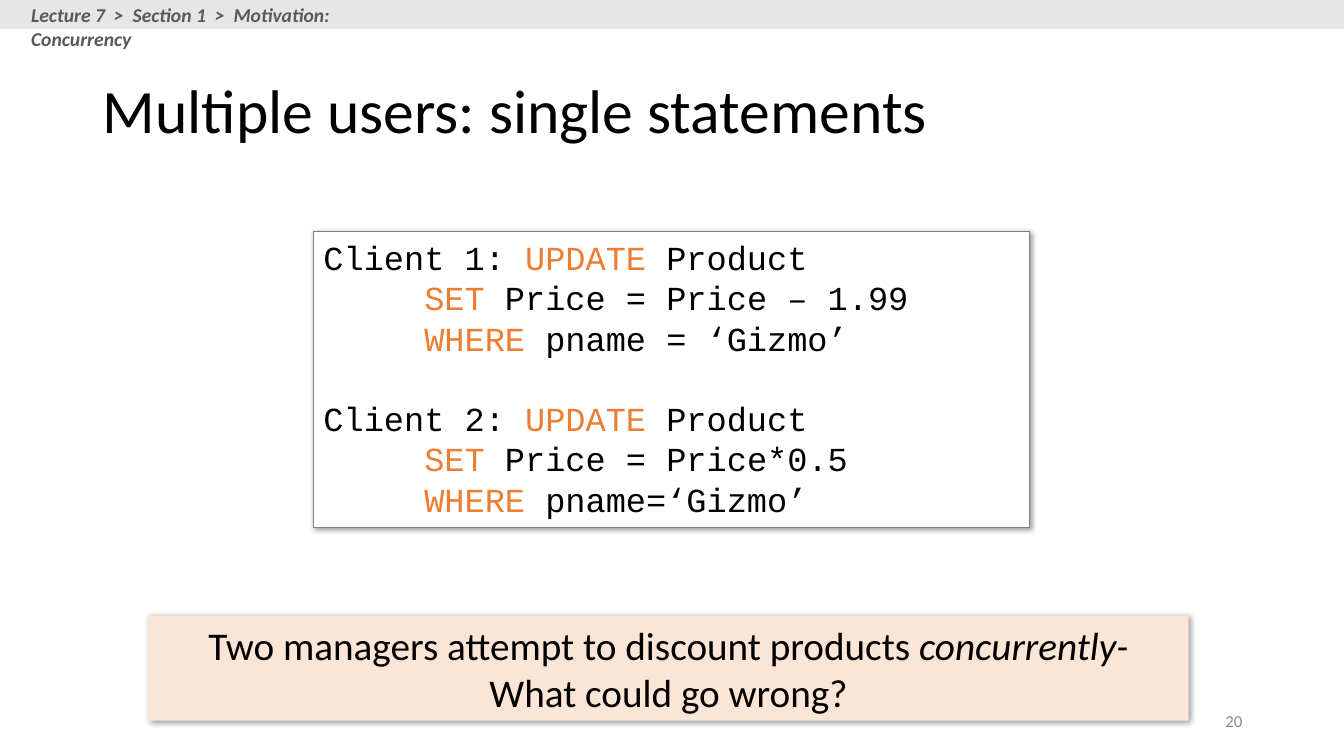
"""Lecture slide on two clients updating the same product concurrently."""
from lxml import etree
from pptx import Presentation
from pptx.dml.color import RGBColor
from pptx.enum.shapes import MSO_SHAPE
from pptx.enum.text import MSO_ANCHOR, PP_ALIGN
from pptx.oxml import parse_xml
from pptx.util import Inches, Pt

RECT = MSO_SHAPE.RECTANGLE
MIDDLE, TOP = MSO_ANCHOR.MIDDLE, MSO_ANCHOR.TOP
LEFT, CENTER, RIGHT = PP_ALIGN.LEFT, PP_ALIGN.CENTER, PP_ALIGN.RIGHT
COLORS = {"black": "000000", "white": "FFFFFF", "keyword": "ED7D31", "outline": "808080",
          "callout": "FBE5D6", "band": "E7E6E6", "crumb": "595959", "number": "8C8C8C"}
SHADOW = """<a:effectLst xmlns:a="http://schemas.openxmlformats.org/drawingml/2006/main">
<a:outerShdw blurRad="50800" dist="12700" dir="2700000" algn="tl" rotWithShape="0">
<a:srgbClr val="000000"><a:alpha val="40000"/></a:srgbClr></a:outerShdw></a:effectLst>"""


def add_panel(box, fill, outline=None, shadowed=False):
    panel = slide.shapes.add_shape(RECT, *map(Inches, box))
    panel.shadow.inherit = False
    panel.fill.solid()
    panel.fill.fore_color.rgb = RGBColor.from_string(COLORS[fill])
    if outline:
        panel.line.color.rgb = RGBColor.from_string(COLORS[outline])
        panel.line.width = Pt(0.75)
    else:
        panel.line.fill.background()
    if shadowed:
        properties = panel.fill._xPr
        properties.remove(properties.find("{*}effectLst"))
        properties.append(parse_xml(etree.tostring(etree.fromstring(SHADOW))))
    return panel


def write(holder, lines, size, font="Calibri", align=LEFT, anchor=TOP, wrap=True):
    frame = holder.text_frame
    frame.word_wrap = wrap
    frame.vertical_anchor = anchor
    for index, line in enumerate(lines):
        paragraph = frame.paragraphs[0] if index == 0 else frame.add_paragraph()
        paragraph.alignment = align
        for text, color, style in line:
            run = paragraph.add_run()
            run.text = text
            run.font.name, run.font.size = font, Pt(size)
            run.font.bold, run.font.italic = "b" in style, "i" in style
            run.font.color.rgb = RGBColor.from_string(COLORS[color])
    return frame.paragraphs


deck = Presentation()
deck.slide_width, deck.slide_height = Inches(13.33), Inches(7.5)
slide = deck.slides.add_slide(deck.slide_layouts[5])

title = slide.shapes.title
title.left, title.top, title.width, title.height = map(Inches, (0.92, 0.4, 11.5, 1.45))
heading = write(title, [[("Multiple users: single statements", "black", "")]], 44, anchor=MIDDLE)
heading[0].line_spacing = 0.9

clients = [
    ("Client 1:", " Price = Price – 1.99", "pname = ‘Gizmo’"),
    ("Client 2:", " Price = Price*0.5", "pname=‘Gizmo’"),
]
statements = []
for client, assignment, condition in clients:
    statements += [
        [(client + "\t", "black", ""), ("UPDATE", "keyword", ""), (" Product", "black", "")],
        [("\t\tSET", "keyword", ""), (assignment, "black", "")],
        [("\t\tWHERE ", "keyword", ""), (condition, "black", "")],
    ]
code = add_panel((3.11, 2.3, 7.1, 2.93), "white", "outline", True)
code_lines = write(code, statements, 24, "Courier New", wrap=False)
for code_line in code_lines:
    code_line.line_spacing = Pt(28.8)
code_lines[len(statements) // len(clients)].space_before = Pt(28.8)

callout = add_panel((1.47, 6.11, 10.32, 1.04), "callout", shadowed=True)
write(callout, [
    [("Two managers attempt to discount products ", "black", ""), ("concurrently-", "black", "i")],
    [("What could go wrong?", "black", "")],
], 28, align=CENTER, anchor=MIDDLE)

add_panel((0, 0, 13.33, 0.29), "band")
breadcrumb = slide.shapes.add_textbox(*map(Inches, (0.21, -0.02, 4.13, 0.34)))
write(breadcrumb, [[("Lecture 7  >  Section 1  >  Motivation: Concurrency", "crumb", "bi")]], 14)

page_number = slide.shapes.add_textbox(*map(Inches, (9.42, 6.95, 3, 0.4)))
write(page_number, [[("20", "number", "")]], 12, align=RIGHT, anchor=MIDDLE)

deck.save("out.pptx")
